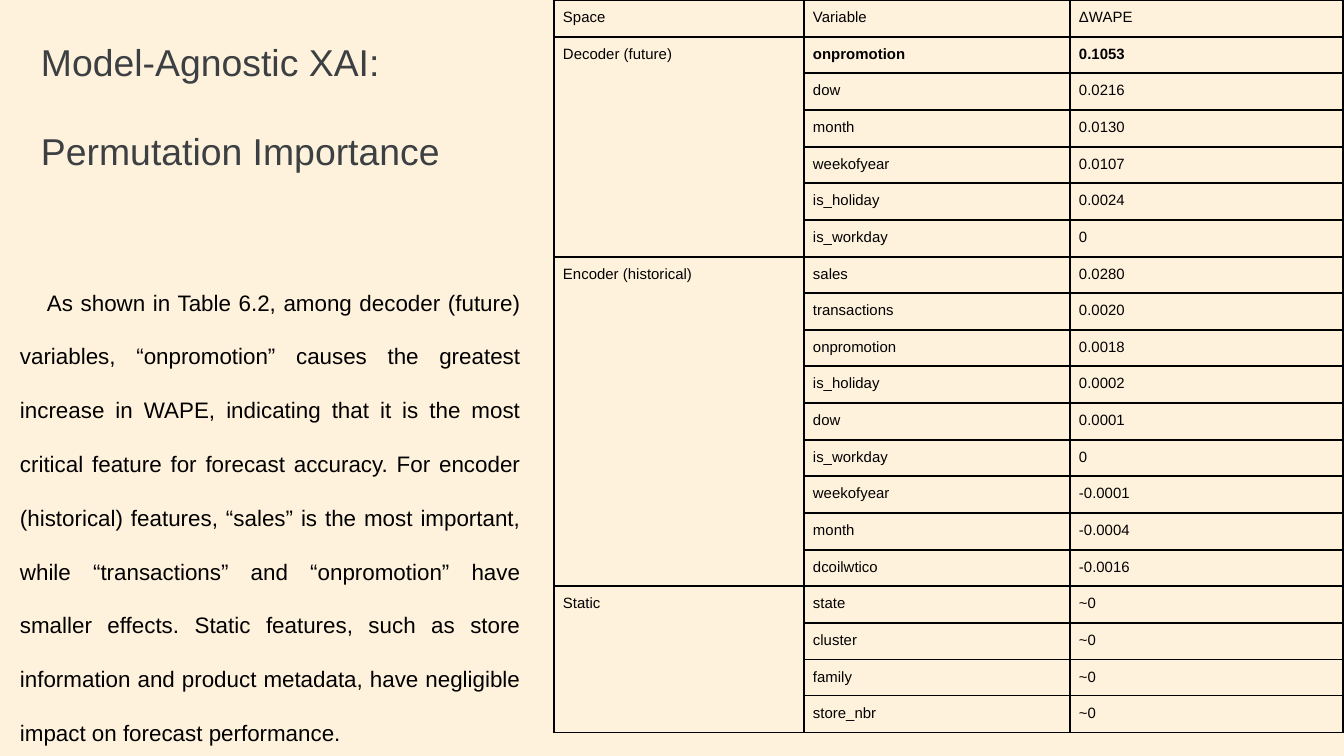
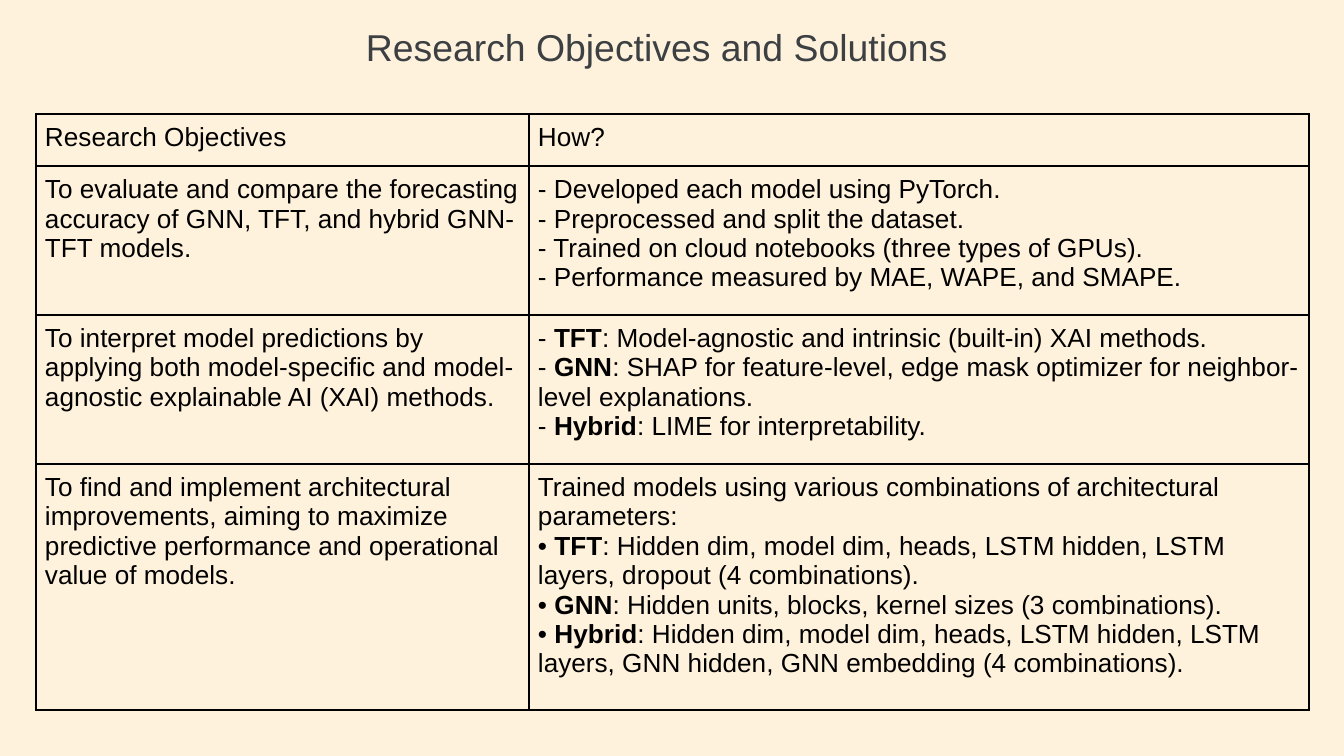
from lxml.etree import SubElement
from pptx import Presentation
from pptx.dml.color import RGBColor
from pptx.enum.text import MSO_AUTO_SIZE, PP_ALIGN
from pptx.oxml.ns import qn
from pptx.util import Emu, Pt

EMU_PER_PX = 914400 / 134.4
PAPER, TITLE_INK, INK = "FFF2DC", "3C4043", "000000"

IMPORTANCE = {
    "Decoder (future)": [
        ("**onpromotion**", "**0.1053**"), ("dow", "0.0216"), ("month", "0.0130"),
        ("weekofyear", "0.0107"), ("is_holiday", "0.0024"), ("is_workday", "0"),
    ],
    "Encoder (historical)": [
        ("sales", "0.0280"), ("transactions", "0.0020"), ("onpromotion", "0.0018"),
        ("is_holiday", "0.0002"), ("dow", "0.0001"), ("is_workday", "0"),
        ("weekofyear", "-0.0001"), ("month", "-0.0004"), ("dcoilwtico", "-0.0016"),
    ],
    "Static": [("state", "~0"), ("cluster", "~0"), ("family", "~0"), ("store_nbr", "~0")],
}

FINDINGS = (
    "As shown in Table 6.2, among decoder (future) variables, “onpromotion” causes the "
    "greatest increase in WAPE, indicating that it is the most critical feature for forecast "
    "accuracy. For encoder (historical) features, “sales” is the most important, while "
    "“transactions” and “onpromotion” have smaller effects. Static features, such as store "
    "information and product metadata, have negligible impact on forecast performance."
)

OBJECTIVES = [
    ("Research Objectives", "How?"),
    ("To evaluate and compare the forecasting accuracy of GNN, TFT, and hybrid GNN-TFT models.",
     "- Developed each model using PyTorch.\n"
     "- Preprocessed and split the dataset.\n"
     "- Trained on cloud notebooks (three types of GPUs).\n"
     "- Performance measured by MAE, WAPE, and SMAPE."),
    ("To interpret model predictions by applying both model-specific and model-agnostic "
     "explainable AI (XAI) methods.",
     "- **TFT**: Model-agnostic and intrinsic (built-in) XAI methods.\n"
     "- **GNN**: SHAP for feature-level, edge mask optimizer for neighbor-level explanations.\n"
     "- **Hybrid**: LIME for interpretability."),
    ("To find and implement architectural improvements, aiming to maximize predictive "
     "performance and operational value of models.",
     "Trained models using various combinations of architectural parameters:\n"
     "• **TFT**: Hidden dim, model dim, heads, LSTM hidden, LSTM layers, dropout "
     "(4 combinations).\n"
     "• **GNN**: Hidden units, blocks, kernel sizes (3 combinations).\n"
     "• **Hybrid**: Hidden dim, model dim, heads, LSTM hidden, LSTM layers, GNN hidden, "
     "GNN embedding (4 combinations)."),
]


def px(n):
    return Emu(round(n * EMU_PER_PX))


def rgb(code):
    return RGBColor.from_string(code)


class Deck:
    """Hold the deck style and the current slide."""

    def __init__(self):
        self.prs = Presentation()
        self.prs.slide_width, self.prs.slide_height = px(1344), px(756)

    def slide(self):
        self.s = self.prs.slides.add_slide(self.prs.slide_layouts[6])
        fill = self.s.background.fill
        fill.solid()
        fill.fore_color.rgb = rgb(PAPER)

    def put_text(self, tf, text, size, color=INK):
        for i, line in enumerate(text.split("\n")):
            p = tf.add_paragraph() if i else tf.paragraphs[0]
            for j, part in enumerate(line.split("**")):
                if part:
                    r = p.add_run()
                    r.text = part
                    r.font.name, r.font.size = "Arial", Pt(size)
                    r.font.bold = j % 2 == 1
                    r.font.color.rgb = rgb(color)

    def box(self, x, y, w, h, insets):
        tf = self.s.shapes.add_textbox(px(x), px(y), px(w), px(h)).text_frame
        tf.word_wrap = True
        tf.margin_left, tf.margin_top, tf.margin_right, tf.margin_bottom = map(px, insets)
        return tf

    def title(self, text, x, y, w, h, align=PP_ALIGN.LEFT):
        tf = self.box(x, y, w, h, (0, 13, 0, 0))
        self.put_text(tf, text, 20, TITLE_INK)
        for i, p in enumerate(tf.paragraphs):
            p.alignment = align
            if i:
                p.space_before = Pt(24)

    def body(self, text, x, y, w, h):
        tf = self.box(x, y, w, h, (13, 13, 13, 13))
        tf.auto_size = MSO_AUTO_SIZE.SHAPE_TO_FIT_TEXT
        self.put_text(tf, text, 12)
        for p in tf.paragraphs:
            p.alignment = PP_ALIGN.JUSTIFY
            p.line_spacing, p.space_after = 2.0, Pt(10)
            p._p.get_or_add_pPr().set("indent", str(px(27)))

    def borders(self, cell):
        tc_pr = cell._tc.get_or_add_tcPr()
        for side in ("lnL", "lnR", "lnT", "lnB"):
            ln = SubElement(tc_pr, qn(f"a:{side}"), w=str(Pt(1)))
            fill = SubElement(ln, qn("a:solidFill"))
            SubElement(fill, qn("a:srgbClr"), val=INK)

    def table(self, rows, x, y, widths, heights, size):
        frame = self.s.shapes.add_table(
            len(rows), len(widths), px(x), px(y), px(sum(widths)), px(sum(heights)))
        table = frame.table
        table.first_row = table.horz_banding = False
        for column, width in zip(table.columns, widths):
            column.width = px(width)
        for row, height, texts in zip(table.rows, heights, rows):
            row.height = px(height)
            for cell, text in zip(row.cells, texts):
                cell.margin_left = cell.margin_right = px(9)
                cell.margin_top = cell.margin_bottom = px(9)
                self.borders(cell)
                cell.fill.background()
                self.put_text(cell.text_frame, text, size)
        return table


def importance_slide(deck):
    deck.slide()
    deck.title("Model-Agnostic XAI:\nPermutation Importance", 41, 26, 458, 159)
    rows = [("Space", "Variable", "ΔWAPE")]
    spans = []
    for space, variables in IMPORTANCE.items():
        spans.append((len(rows), len(rows) + len(variables) - 1))
        rows += [("" if i else space, *pair) for i, pair in enumerate(variables)]
    edges = [round(733 * i / len(rows)) for i in range(len(rows) + 1)]
    heights = [b - a for a, b in zip(edges, edges[1:])]
    table = deck.table(rows, 554, 0, (250, 266, 273), heights, 8)
    for first, last in spans:
        table.cell(first, 0).merge(table.cell(last, 0))
    deck.body(FINDINGS, 7, 249, 527, 489)


def objectives_slide(deck):
    deck.slide()
    deck.title("Research Objectives and Solutions", 274, 11, 766, 78, PP_ALIGN.CENTER)
    deck.table(OBJECTIVES, 36, 114, (493, 780), (52, 149, 149, 246), 14)


def main():
    deck = Deck()
    importance_slide(deck)
    objectives_slide(deck)
    deck.prs.save("out.pptx")


if __name__ == "__main__":
    main()
